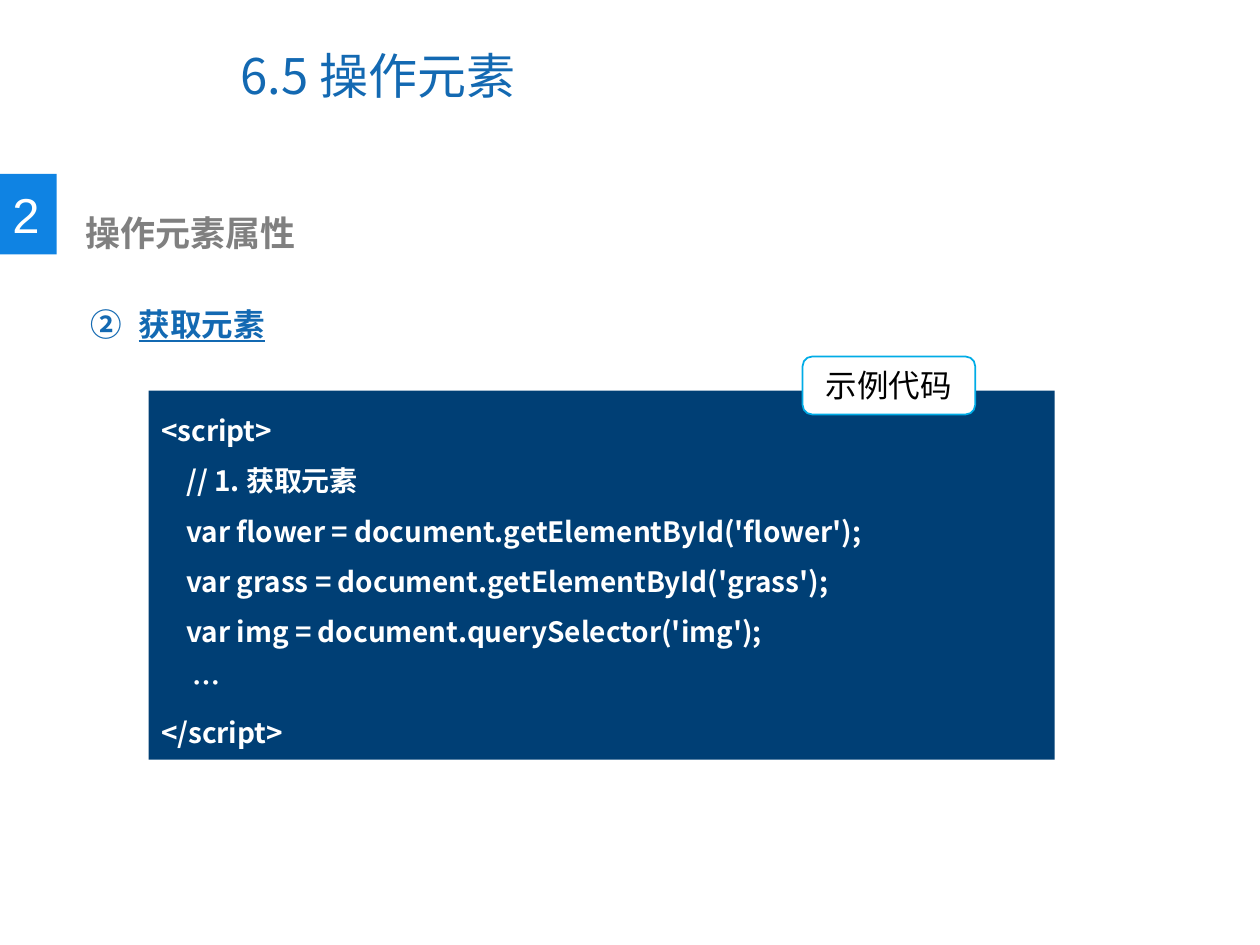
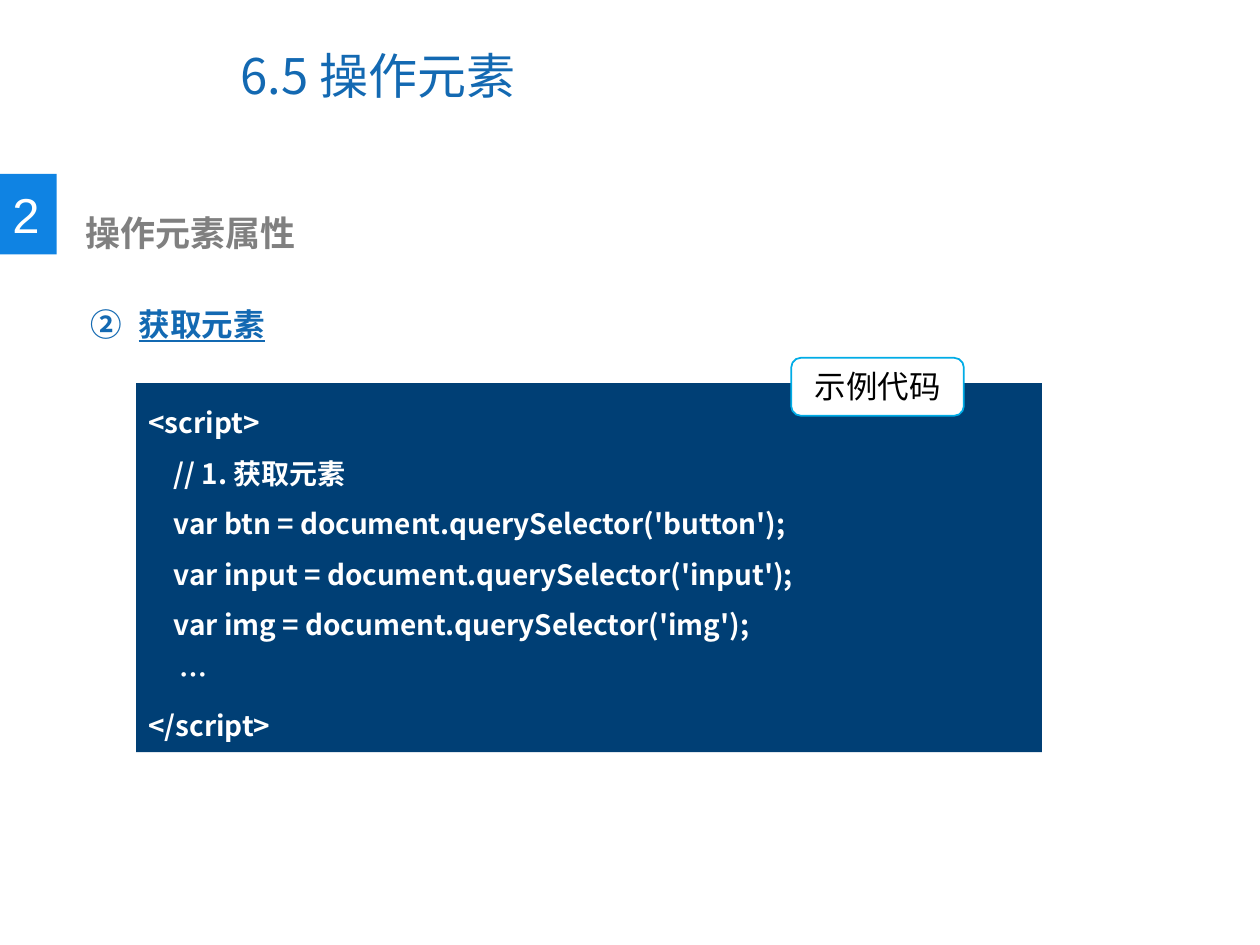
import pptx
import pptx.util
import pptx.dml.color
import pptx.enum.shapes
import pptx.enum.text
import pptx.oxml.ns
from lxml import etree

Inches = pptx.util.Inches
Shape = pptx.enum.shapes.MSO_SHAPE
Anchor = pptx.enum.text.MSO_ANCHOR
Align = pptx.enum.text.PP_ALIGN
qn = pptx.oxml.ns.qn

CJK_FONT = "Noto Sans CJK SC"
LATIN_FONT = "Arial"
BLUE, BADGE_BLUE, NAVY, CYAN = "1369B2", "0F83E3", "003F75", "00ACE6"
WHITE, BLACK, GRAY = "FFFFFF", "000000", "808080"

TITLE = "6.5 操作元素"
SECTION_NUMBER = "2"
SECTION = "操作元素属性"
STEP = "获取元素"
STEP_NUMBER = 2
CODE_LABEL = "示例代码"
EXAMPLES = [
    {
        "panel": (1.18, 3.1),
        "label": (6.37, 2.83),
        "statements": [
            "var flower = document.getElementById('flower');",
            "var grass = document.getElementById('grass');",
            "var img = document.querySelector('img');",
        ],
    },
    {
        "panel": (1.08, 3.04),
        "label": (6.28, 2.84),
        "statements": [
            "var btn = document.querySelector('button');",
            "var input = document.querySelector('input');",
            "var img = document.querySelector('img');",
        ],
    },
]
PANEL_SIZE = (7.19, 2.93)
LABEL_SIZE = (1.37, 0.46)


def color(value):
    return pptx.dml.color.RGBColor.from_string(value)


def place(shape, left, top, width, height):
    shape.left, shape.top = Inches(left), Inches(top)
    shape.width, shape.height = Inches(width), Inches(height)


def write(shape, text, size, text_color, font=LATIN_FONT, bold=False,
          align=Align.LEFT, anchor=Anchor.TOP, spacing=1.0):
    frame = shape.text_frame
    frame.text = text
    frame.word_wrap = True
    frame.auto_size = pptx.enum.text.MSO_AUTO_SIZE.NONE
    frame.vertical_anchor = anchor
    for paragraph in frame.paragraphs:
        paragraph.alignment = align
        paragraph.line_spacing = spacing
        paragraph.space_before = pptx.util.Pt(0)
        for run in paragraph.runs:
            run.font.size = pptx.util.Pt(size)
            run.font.bold = bold
            run.font.name = font
            run.font.color.rgb = color(text_color)
            east_asian = etree.Element(qn("a:ea"), typeface=CJK_FONT)
            run.font._element.find(qn("a:latin")).addnext(east_asian)
    return frame


def add_box(slide, kind, box, fill, line=None):
    shape = slide.shapes.add_shape(kind, *map(Inches, box))
    shape.shadow.inherit = False
    shape.fill.solid()
    shape.fill.fore_color.rgb = color(fill)
    if line:
        shape.line.color.rgb = color(line)
        shape.line.width = pptx.util.Pt(1)
    else:
        shape.line.fill.background()
    return shape


def indent(paragraph, margin, first=0.0):
    properties = paragraph._p.get_or_add_pPr()
    properties.set("marL", str(Inches(margin)))
    properties.set("indent", str(Inches(first)))
    return properties


def add_heading(slide):
    title = slide.shapes.title
    place(title, 1.81, 0.17, 5.16, 0.85)
    write(title, TITLE, 28, BLUE, CJK_FONT, anchor=Anchor.MIDDLE)

    badge = add_box(slide, Shape.RECTANGLE, (0, 1.38, 0.45, 0.64), BADGE_BLUE)
    frame = write(badge, SECTION_NUMBER, 28, WHITE, anchor=Anchor.MIDDLE)
    frame.margin_right = 0

    section = slide.shapes.add_textbox(*map(Inches, (0.58, 1.63, 5.03, 0.44)))
    write(section, SECTION, 20, GRAY, bold=True)


def add_step(slide):
    body = slide.placeholders[1]
    place(body, 0.62, 2.07, 8.65, 0.61)
    frame = write(body, STEP, 18, BLUE, bold=True, spacing=2.0)
    paragraph = frame.paragraphs[0]
    paragraph.runs[0].font.underline = True
    properties = indent(paragraph, 0.38, -0.38)
    etree.SubElement(properties, qn("a:buAutoNum"),
                     type="circleNumDbPlain", startAt=str(STEP_NUMBER))


def add_code(slide, example):
    inner = ["// 1. 获取元素", *example["statements"], "…"]
    lines = ["<script>", *inner, "</script>"]
    panel = add_box(slide, Shape.RECTANGLE, example["panel"] + PANEL_SIZE, NAVY)
    frame = write(panel, "\n".join(lines), 16, WHITE, CJK_FONT, bold=True, spacing=1.5)
    for paragraph in frame.paragraphs[1:-1]:
        indent(paragraph, 0.25 if paragraph.text == "…" else 0.2)

    label = add_box(slide, Shape.ROUNDED_RECTANGLE, example["label"] + LABEL_SIZE, WHITE, CYAN)
    write(label, CODE_LABEL, 18, BLACK, align=Align.CENTER)


def main():
    presentation = pptx.Presentation()
    presentation.slide_width, presentation.slide_height = Inches(10), Inches(7.5)
    for example in EXAMPLES:
        slide = presentation.slides.add_slide(presentation.slide_layouts[1])
        add_heading(slide)
        add_code(slide, example)
        add_step(slide)
    presentation.save("out.pptx")


if __name__ == "__main__":
    main()
